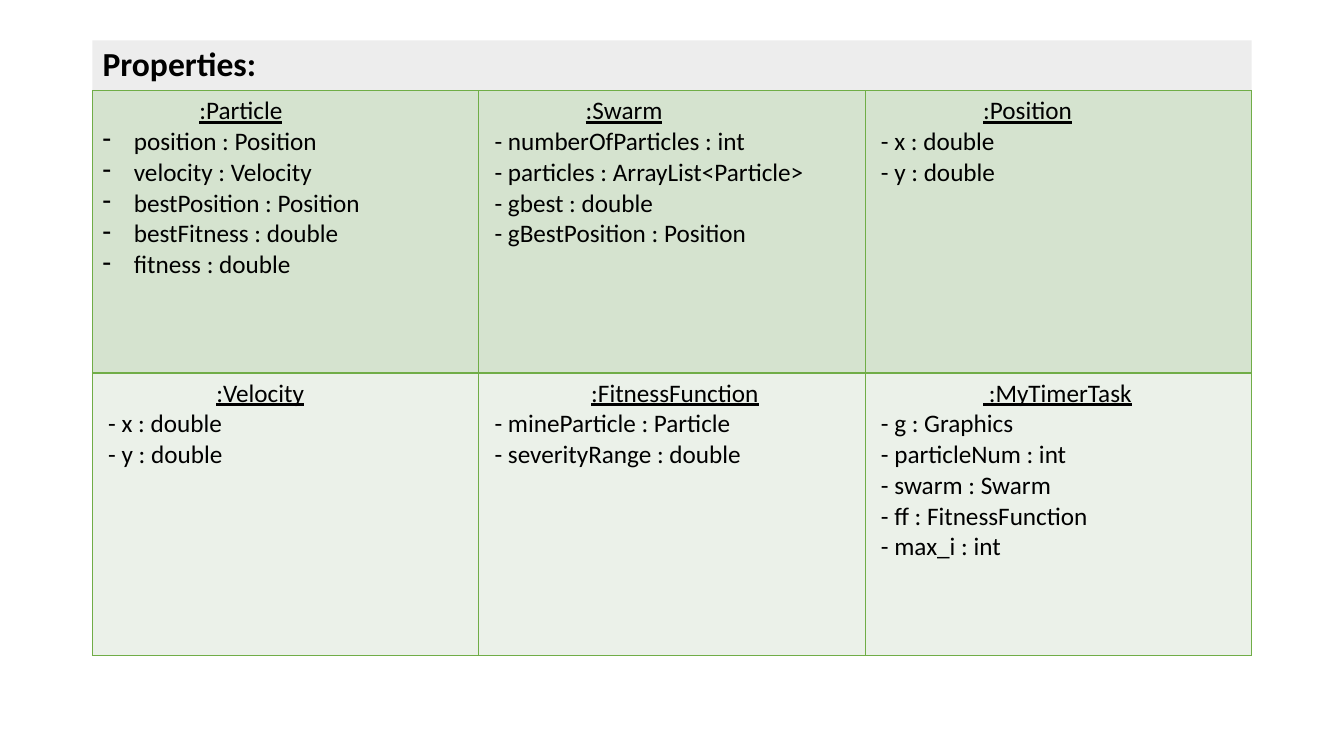
from lxml.etree import SubElement
from pptx import Presentation
from pptx.dml.color import RGBColor
from pptx.enum.text import MSO_ANCHOR, MSO_AUTO_SIZE, PP_ALIGN
from pptx.oxml import parse_xml
from pptx.oxml.ns import nsdecls, qn
from pptx.util import Cm, Pt

# Content: class name, its indent in cm, its properties
HEADING = "Properties:"
CLASSES = [
    [
        (":Particle", 2.44, ["position : Position", "velocity : Velocity",
                             "bestPosition : Position", "bestFitness : double",
                             "fitness : double"]),
        (":Swarm", 2.44, [" - numberOfParticles : int",
                          " - particles : ArrayList<Particle>",
                          " - gbest : double", " - gBestPosition : Position"]),
        (":Position", 2.72, [" - x : double", " - y : double"]),
    ],
    [
        (":Velocity", 2.87, [" - x : double", " - y : double"]),
        (":FitnessFunction", 2.58, [" - mineParticle : Particle",
                                    " - severityRange : double"]),
        (" :MyTimerTask", 2.72, [" - g : Graphics", " - particleNum : int",
                                 " - swarm : Swarm", " - ff : FitnessFunction",
                                 " - max_i : int"]),
    ],
]
COLORS = {"text": "000000", "heading": "EDEDED", "border": "70AD47"}
ROW_FILLS = ["D5E3CF", "EBF1E9"]
FONT = "Calibri"

# Layout
LEFT, WIDTH = Cm(2.33), Cm(29.21)
HEADING_TOP, HEADING_HEIGHT = Cm(1.02), Cm(1.27)
GRID_HEIGHT = Cm(14.22)
BULLET_INDENT = Cm(0.79)


def paint(target, color):
    target.fill.solid()
    target.fill.fore_color.rgb = RGBColor.from_string(color)


def style(paragraph, size, bold=False, underline=False):
    for run in paragraph.runs:
        run.font.name = FONT
        run.font.size = Pt(size)
        run.font.bold = bold
        run.font.underline = underline
        run.font.color.rgb = RGBColor.from_string(COLORS["text"])


def indent(paragraph, margin, first_line=0):
    properties = paragraph._p.get_or_add_pPr()
    properties.set("marL", str(int(margin)))
    properties.set("indent", str(int(first_line)))
    return properties


def add_borders(cell):
    properties = cell._tc.get_or_add_tcPr()
    for place, side in enumerate(("lnL", "lnR", "lnT", "lnB")):
        properties.insert(place, parse_xml(
            f'<a:{side} {nsdecls("a")} w="{Pt(1)}"><a:solidFill>'
            f'<a:srgbClr val="{COLORS["border"]}"/></a:solidFill></a:{side}>'))


def fill_cell(cell, class_name, name_indent, members, row_fill):
    cell.text_frame.text = "\n".join([class_name, *members])
    name_line, *member_lines = cell.text_frame.paragraphs
    style(name_line, 18, underline=True)
    indent(name_line, Cm(name_indent))
    for line in member_lines:
        style(line, 18)
        if not line.text.startswith(" - "):
            bullet = indent(line, BULLET_INDENT, -BULLET_INDENT)
            SubElement(bullet, qn("a:buFontTx"))
            SubElement(bullet, qn("a:buChar"), char="-")
    paint(cell, row_fill)
    add_borders(cell)


def main():
    deck = Presentation()
    deck.slide_width, deck.slide_height = Cm(33.87), Cm(19.05)
    slide = deck.slides.add_slide(deck.slide_layouts[5])

    # Heading band
    heading = slide.shapes.title
    heading.left, heading.top = LEFT, HEADING_TOP
    heading.width, heading.height = WIDTH, HEADING_HEIGHT
    paint(heading, COLORS["heading"])
    frame = heading.text_frame
    frame.text = HEADING
    frame.auto_size = MSO_AUTO_SIZE.NONE
    frame.vertical_anchor = MSO_ANCHOR.MIDDLE
    frame.paragraphs[0].alignment = PP_ALIGN.LEFT
    frame.paragraphs[0].line_spacing = 0.9
    style(frame.paragraphs[0], 24, bold=True)

    # Class grid
    grid = slide.shapes.add_table(
        len(CLASSES), len(CLASSES[0]), LEFT, HEADING_TOP + HEADING_HEIGHT,
        WIDTH, GRID_HEIGHT).table
    grid.first_row = grid.horz_banding = False
    for r, (row, row_fill) in enumerate(zip(CLASSES, ROW_FILLS)):
        for c, (class_name, name_indent, members) in enumerate(row):
            fill_cell(grid.cell(r, c), class_name, name_indent, members, row_fill)

    deck.save("out.pptx")


if __name__ == "__main__":
    main()
